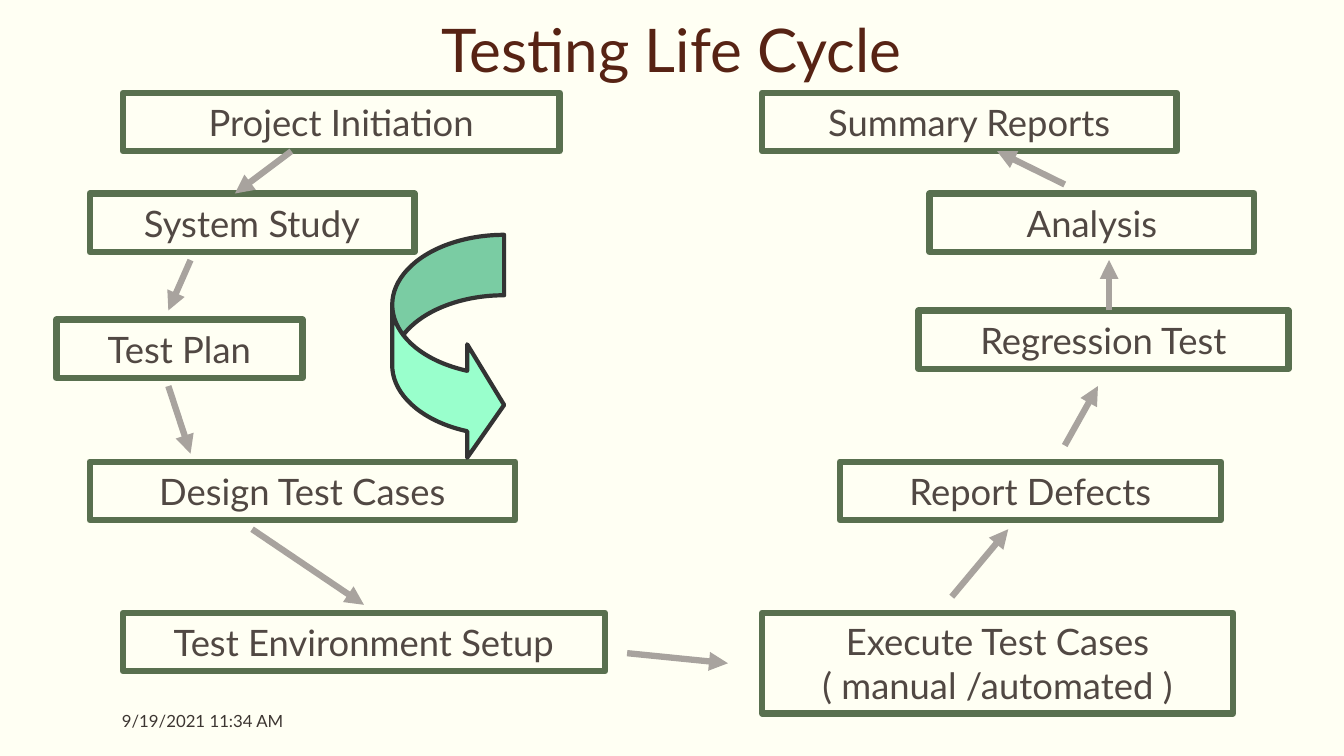
from dataclasses import dataclass

from lxml.etree import SubElement
from pptx import Presentation
from pptx.dml.color import RGBColor as Rgb
from pptx.enum.shapes import MSO_CONNECTOR as Conn, MSO_SHAPE as Kind
from pptx.enum.text import MSO_ANCHOR as Anchor, PP_ALIGN as Align
from pptx.oxml.ns import qn
from pptx.shapes.autoshape import Shape
from pptx.util import Inches, Pt

FONT = "Lato"
GREEN, GREY, INK = "59704F", "A8A39E", "514843"


@dataclass
class Step:
    text: str
    left: float
    top: float
    width: float
    height: float = 0.58


@dataclass
class Arrow:
    x1: float
    y1: float
    x2: float
    y2: float


STEPS = [
    Step("Project Initiation", 1.22, 0.92, 4.33),
    Step("System Study", 0.89, 1.92, 3.22),
    Step("Test Plan", 0.56, 3.17, 2.44),
    Step("Design Test Cases", 0.89, 4.58, 4.22),
    Step("Test Environment Setup", 1.22, 6.08, 4.78),
    Step("Execute Test Cases\n( manual /automated )", 7.56, 6.08, 4.67, 1),
    Step("Report Defects", 8.33, 4.58, 3.78),
    Step("Regression Test", 9.11, 3.08, 3.67),
    Step("Analysis", 9.22, 1.92, 3.22),
    Step("Summary Reports", 7.56, 0.92, 4.11),
]

ARROWS = [
    Arrow(2.89, 1.5, 2.33, 1.92),
    Arrow(1.89, 2.58, 1.67, 3.08),
    Arrow(1.67, 3.83, 1.89, 4.5),
    Arrow(2.5, 5.25, 3.61, 6),
    Arrow(6.22, 6.48, 7.22, 6.58),
    Arrow(9.44, 5.92, 10, 5.25),
    Arrow(10.56, 4.42, 10.89, 3.83),
    Arrow(11, 3.08, 11, 2.58),
    Arrow(10.56, 1.83, 9.89, 1.5),
]


def paint(part, color: str) -> None:
    if hasattr(part, "solid"):
        part.solid()
        part.fore_color.rgb = Rgb.from_string(color)
    else:
        part.rgb = Rgb.from_string(color)


def write(shape: Shape, text: str, *, size: float, color: str,
          align: Align = Align.CENTER, anchor: Anchor = Anchor.MIDDLE,
          wrap: bool = False, side: float = 0.1) -> None:
    frame = shape.text_frame
    frame.word_wrap = wrap
    frame.vertical_anchor = anchor
    frame.margin_left = frame.margin_right = Inches(side)
    frame.text = text
    for para in frame.paragraphs:
        para.alignment = align
        para.font.name = FONT
        para.font.size = Pt(size)
        paint(para.font.color, color)


def add_text(slide, left: float, top: float, width: float, height: float,
             text: str, **style) -> None:
    box = slide.shapes.add_textbox(
        Inches(left), Inches(top), Inches(width), Inches(height))
    write(box, text, wrap=True, **style)


def add_step(slide, step: Step) -> None:
    box = slide.shapes.add_shape(
        Kind.RECTANGLE, Inches(step.left), Inches(step.top),
        Inches(step.width), Inches(step.height))
    box.shadow.inherit = False
    box.fill.background()
    paint(box.line.fill, GREEN)
    box.line.width = Pt(4.5)
    write(box, step.text, size=26, color=INK)


def add_arrow(slide, arrow: Arrow) -> None:
    link = slide.shapes.add_connector(
        Conn.STRAIGHT, Inches(arrow.x1), Inches(arrow.y1),
        Inches(arrow.x2), Inches(arrow.y2))
    paint(link.line.fill, GREY)
    link.line.width = Pt(4.5)
    props = link._element.spPr
    SubElement(props.find(qn("a:ln")), qn("a:tailEnd"), type="triangle")
    SubElement(props, qn("a:effectLst"))


def add_curve(slide) -> None:
    curve = slide.shapes.add_shape(
        Kind.CURVED_RIGHT_ARROW, Inches(3.89), Inches(2.33),
        Inches(1.11), Inches(2.25))
    curve.shadow.inherit = False
    for i, value in enumerate((0.54, 1.08, 0.33)):
        curve.adjustments[i] = value
    paint(curve.fill, "99FFCC")
    paint(curve.line.fill, "333333")
    curve.line.width = Pt(3)


def main() -> None:
    deck = Presentation()
    deck.slide_width, deck.slide_height = Inches(13.33), Inches(7.5)
    slide = deck.slides.add_slide(deck.slide_layouts[6])
    paint(slide.background.fill, "FFFFF3")
    for step in STEPS:
        add_step(slide, step)
    add_text(slide, 1.55, 0.07, 10.22, 0.58, "Testing Life Cycle",
             size=43, color="572314", anchor=Anchor.TOP)
    add_curve(slide)
    for arrow in ARROWS:
        add_arrow(slide, arrow)
    add_text(slide, 1.21, 6.95, 2, 0.4, "9/19/2021 11:34 AM",
             size=12, color="3D3632", align=Align.LEFT, side=0)
    deck.save("out.pptx")


if __name__ == "__main__":
    main()
